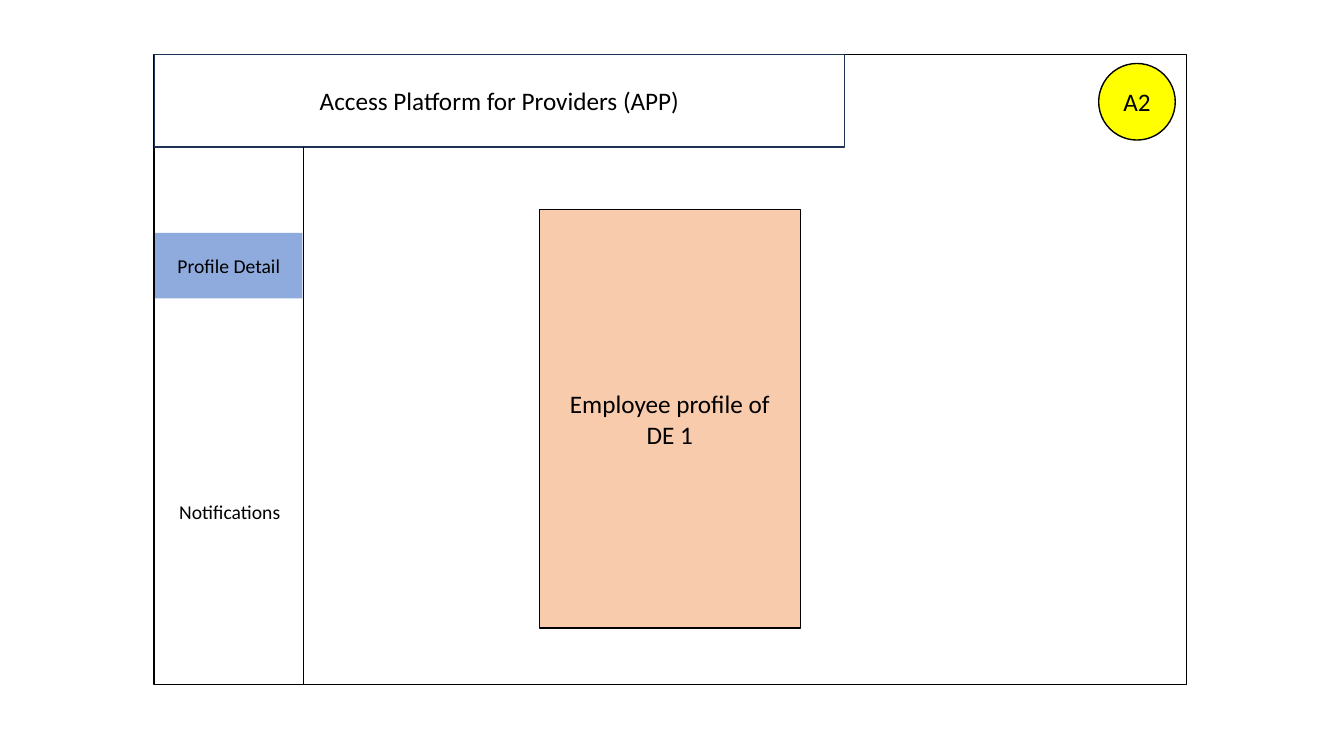
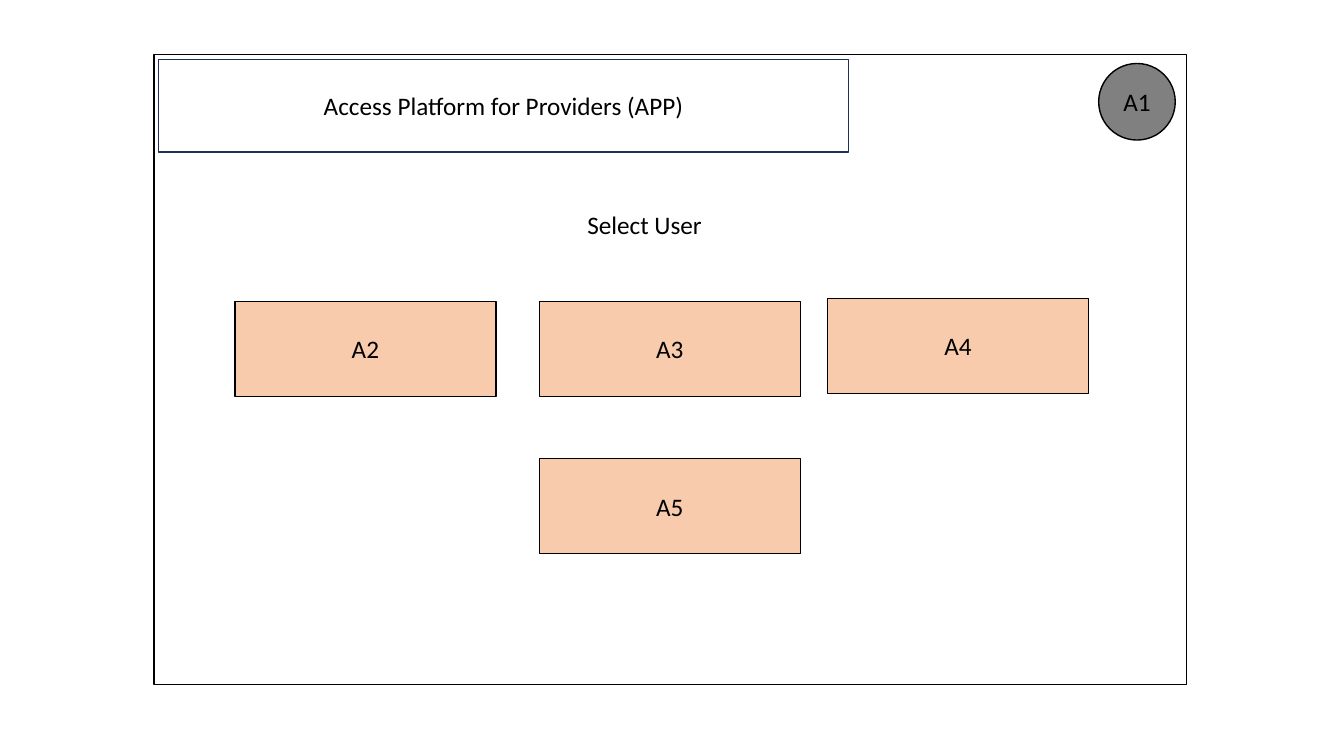
from pptx import Presentation
from pptx.dml.color import RGBColor
from pptx.enum.shapes import MSO_CONNECTOR, MSO_SHAPE
from pptx.enum.text import MSO_ANCHOR, PP_ALIGN
from pptx.oxml.ns import qn
from pptx.util import Pt
from lxml import etree

RECT, OVAL = MSO_SHAPE.RECTANGLE, MSO_SHAPE.OVAL
STRAIGHT = MSO_CONNECTOR.STRAIGHT
MIDDLE, CENTER = MSO_ANCHOR.MIDDLE, PP_ALIGN.CENTER

FONT = "Calibri"
BLACK, NAVY = "000000", "1E3256"
PEACH, BLUE, YELLOW, GRAY = "F8CBAD", "8FAADC", "FFFF00", "808080"

FRAME = (110.16, 38.88, 737.28, 450)
BADGE = (784.8, 45.36, 54.72, 54.72)
HEADER_W, HEADER_H = 493.2, 66.24
CARD_X, CARD_W, CARD_H = 385.2, 186.5, 67.8
MENU_W, MENU_H = 105.12, 46.8


def color(hex_string):
    """Return the colour for a hex string."""
    return RGBColor.from_string(hex_string)


def set_text(sp, text, size=18, font_color=BLACK):
    """Write centred text, one paragraph per line."""
    tf = sp.text_frame
    tf.word_wrap = True
    tf.vertical_anchor = MIDDLE
    for i, line in enumerate(text.split("\n")):
        p = tf.paragraphs[0] if i == 0 else tf.add_paragraph()
        p.alignment = CENTER
        r = p.add_run()
        r.text = line
        r.font.name = FONT
        r.font.size = Pt(size)
        r.font.color.rgb = color(font_color)


def add_box(s, box, text="", kind=RECT, fill=None, line=BLACK, size=18):
    """Add a preset shape with optional fill, outline and text."""
    sp = s.shapes.add_shape(kind, *map(Pt, box))
    sp.shadow.inherit = False
    if fill:
        sp.fill.solid()
        sp.fill.fore_color.rgb = color(fill)
    else:
        sp.fill.background()
    if line:
        sp.line.color.rgb = color(line)
        sp.line.width = Pt(1)
    else:
        sp.line.fill.background()
    if text:
        set_text(sp, text, size=size)


def add_label(s, box, text, size=18):
    """Add a text box."""
    set_text(s.shapes.add_textbox(*map(Pt, box)), text, size=size)


def add_line(s, x1, y1, x2, y2, width=0.5):
    """Add a straight black line."""
    cxn = s.shapes.add_connector(STRAIGHT, *map(Pt, (x1, y1, x2, y2)))
    cxn.line.color.rgb = color(BLACK)
    cxn.line.width = Pt(width)
    etree.SubElement(cxn._element.spPr, qn("a:effectLst"))


def add_screen(prs, header_x, header_y, user, badge_fill):
    """Add a slide with the window frame, header and user badge."""
    s = prs.slides.add_slide(prs.slide_layouts[6])
    add_box(s, FRAME)
    add_box(s, (header_x, header_y, HEADER_W, HEADER_H),
            "Access Platform for Providers (APP)", line=NAVY)
    add_box(s, BADGE, user, kind=OVAL, fill=badge_fill)
    return s


def build_profile(prs):
    """Build the employee profile screen."""
    left, top, _, height = FRAME
    s = add_screen(prs, left, top, "A2", YELLOW)
    add_box(s, (CARD_X, 149.76, CARD_W, 298.8),
            "Employee profile of\nDE 1", fill=PEACH)
    add_line(s, 216.72, top + HEADER_H, 216.72, top + height)
    add_box(s, (110.88, 166.32, MENU_W, MENU_H), "Profile Detail",
            fill=BLUE, line=None, size=14)
    add_label(s, (111.6, 342, MENU_W, MENU_H), "Notifications", size=14)


def build_user_choice(prs):
    """Build the user selection screen."""
    s = add_screen(prs, 113.04, 42.48, "A1", GRAY)
    add_label(s, (228.96, 132.48, 462.96, 56.16), "Select User")
    cards = [("A2", 167.76, 215.28), ("A3", CARD_X, 215.28),
             ("A4", 591.12, 213.12), ("A5", CARD_X, 327.6)]
    for user, x, y in cards:
        add_box(s, (x, y, CARD_W, CARD_H), user, fill=PEACH)


def main():
    """Build and save the presentation."""
    prs = Presentation()
    prs.slide_width, prs.slide_height = Pt(960), Pt(540)
    build_profile(prs)
    build_user_choice(prs)
    prs.save("out.pptx")


main()
